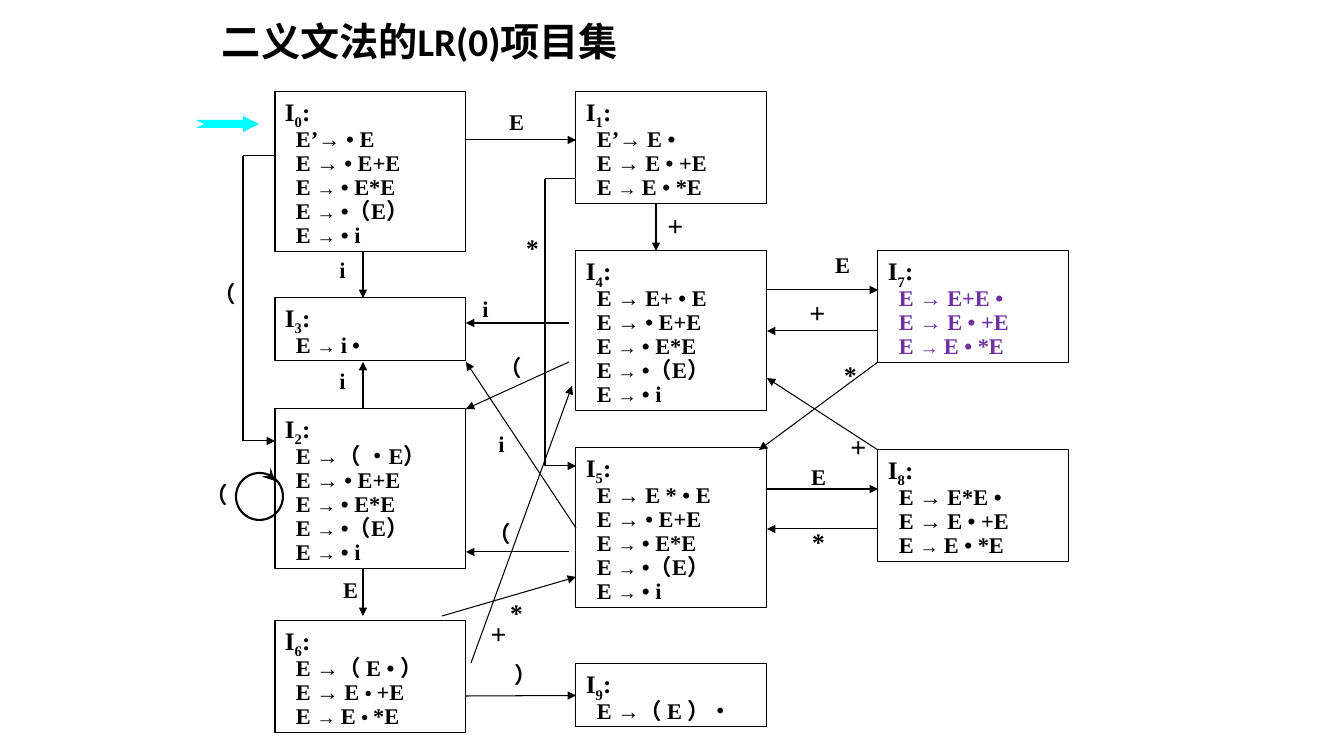
from lxml.etree import SubElement
from pptx import Presentation
from pptx.dml.color import RGBColor
from pptx.enum.shapes import MSO_CONNECTOR as Connector, MSO_SHAPE as Shape
from pptx.enum.text import MSO_ANCHOR as Anchor, PP_ALIGN as Align
from pptx.oxml.ns import qn
from pptx.util import Pt

SCALE = 914400 / 100.8
COLORS = {"ink": "000000", "conflict": "7030A0", "start": "00FFFF"}
SERIF = "Times New Roman"

CLOSURE = ["E → • E+E", "E |→ |• E*E", "E |→ |•（E）", "E |→ |• i"]
REDUCE = ["E → E • +E", "E |→ |E • *E"]
BOX_WIDTH = 191
LEFT, MIDDLE, RIGHT = 275, 576, 878
STATES = [
    ("0", LEFT, 92, 160, ["E’→ • E"] + CLOSURE),
    ("3", LEFT, 298, 63, ["E |→ |i| |•"]),
    ("1", MIDDLE, 92, 112, ["E’→ E •"] + REDUCE),
    ("2", LEFT, 409, 160, ["E →（ •E）"] + CLOSURE),
    ("6", LEFT, 621, 112, ["E →（ E • ）", "E → E |• |+E", "E |→ |E |• |*E"]),
    ("9", MIDDLE, 664, 63, ["E →（ E ）•"]),
    ("4", MIDDLE, 251, 160, ["E → E+ • E"] + CLOSURE),
    ("5", MIDDLE, 448, 160, ["E → E * • E"] + CLOSURE),
    ("7", RIGHT, 251, 112, ["E → E+E •"] + REDUCE),
    ("8", RIGHT, 450, 112, ["E → E*E •"] + REDUCE),
]
ARROWS = [
    (363, 251, 363, 298), (363, 409, 363, 362), (363, 569, 363, 616),
    (466, 140, 576, 140), (656, 204, 656, 251), (569, 323, 466, 323),
    (569, 552, 466, 552), (442, 616, 576, 577), (767, 489, 878, 489),
    (878, 529, 767, 529), (767, 290, 878, 290), (878, 331, 767, 331),
    (569, 362, 466, 409), (878, 362, 759, 450), (878, 450, 767, 378),
    (471, 663, 572, 386),
]
BRACKETS = [(243, LEFT, 156, 441), (545, MIDDLE, 179, 466)]
LABELS = {
    "（": (16, [(204, 275), (196, 476), (490, 349), (479, 515)]),
    "）": (16, [(505, 656)]),
    "E": (16, [(497, 103), (823, 246), (799, 458), (331, 571)]),
    "i": (16, [(323, 251), (323, 362), (482, 425), (466, 290)]),
    "*": (18, [(513, 227), (799, 521), (497, 592), (831, 354)]),
    "+": (20, [(798, 291), (656, 204), (839, 425), (479, 612)]),
}


def px(*lengths):
    """Turn pixel lengths into EMU."""
    return [round(length * SCALE) for length in lengths]


def color(name):
    """Look up a named colour."""
    return RGBColor.from_string(COLORS[name])


def add_run(paragraph, text, size, ink="ink", font=SERIF):
    """Append one bold run and return it."""
    run = paragraph.add_run()
    run.text = text
    run.font.size = Pt(size)
    run.font.name = font
    run.font.bold = True
    run.font.color.rgb = color(ink)
    return run


def add_outline(slide, preset, box, weight):
    """Add an unfilled shape with a black outline."""
    shape = slide.shapes.add_shape(preset, *px(*box))
    shape.shadow.inherit = False
    shape.fill.background()
    shape.line.color.rgb = color("ink")
    shape.line.width = Pt(weight)
    return shape


def add_state(slide, number, left, top, height, items):
    """Add one item set with its heading and productions."""
    shape = add_outline(slide, Shape.RECTANGLE, (left, top, BOX_WIDTH, height), 0.75)
    frame = shape.text_frame
    frame.word_wrap = True
    frame.vertical_anchor = Anchor.TOP
    heading = frame.paragraphs[0]
    add_run(heading, "I", 18)
    subscript = add_run(heading, number, 18)
    subscript._r.get_or_add_rPr().set("baseline", "-25000")
    add_run(heading, ":", 18)
    ink = "conflict" if number == "7" else "ink"
    for item in items:
        paragraph = frame.add_paragraph()
        paragraph._p.get_or_add_pPr().set("marL", str(px(11)[0]))
        for index, part in enumerate(item.split("|")):
            add_run(paragraph, part, 14 if index % 2 else 16, ink)
    for paragraph in frame.paragraphs:
        paragraph.alignment = Align.LEFT
        paragraph.line_spacing = 0.9
    return shape


def add_line(slide, points, head="triangle", weight=0.75):
    """Add a straight connector, with an arrowhead unless head is None."""
    line = slide.shapes.add_connector(Connector.STRAIGHT, *px(*points))
    line.line.color.rgb = color("ink")
    line.line.width = Pt(weight)
    if head:
        SubElement(line.line._get_or_add_ln(), qn("a:tailEnd"), type=head)
    SubElement(line._element.spPr, qn("a:effectLst"))
    return line


def add_bracket(slide, spine, edge, top, bottom):
    """Add a three-part path that leaves one box and enters another."""
    add_line(slide, (spine, top, edge, top), None)
    add_line(slide, (spine, top, spine, bottom), None)
    add_line(slide, (spine, bottom, edge, bottom))


def add_label(slide, text, size, left, top):
    """Add the symbol of a transition."""
    frame = slide.shapes.add_textbox(*px(left, top, 39, size + 21)).text_frame
    frame.word_wrap = True
    paragraph = frame.paragraphs[0]
    paragraph.alignment = Align.CENTER
    add_run(paragraph, text, size)


def add_title(slide):
    """Add the heading of the slide."""
    frame = slide.shapes.add_textbox(*px(212, 21, 627, 49)).text_frame
    frame.word_wrap = True
    paragraph = frame.paragraphs[0]
    paragraph.alignment = Align.JUSTIFY
    paragraph.line_spacing = 0.8
    add_run(paragraph, "二义文法的LR(0)项目集", 28, font="Calibri")


def add_start_arrow(slide):
    """Add the arrow that marks the start state."""
    arrow = slide.shapes.add_shape(Shape.NOTCHED_RIGHT_ARROW, *px(196, 116, 63, 16))
    arrow.shadow.inherit = False
    arrow.adjustments[1] = 1
    arrow.fill.solid()
    arrow.fill.fore_color.rgb = color("start")
    arrow.line.fill.background()


def main():
    """Build the slide and save it."""
    presentation = Presentation()
    presentation.slide_width, presentation.slide_height = px(1344, 756)
    slide = presentation.slides.add_slide(presentation.slide_layouts[6])
    add_outline(slide, Shape.OVAL, (236, 473, 47, 47), 1.5)
    add_title(slide)
    boxes = {state[0]: add_state(slide, *state) for state in STATES}
    for points in ARROWS:
        add_line(slide, points)
    add_line(slide, (466, 696, 576, 696)).end_connect(boxes["9"], 1)
    add_line(slide, (576, 528, 466, 362)).begin_connect(boxes["5"], 1)
    add_line(slide, (267, 473, 275, 481), "stealth", 3)
    for bracket in BRACKETS:
        add_bracket(slide, *bracket)
    add_start_arrow(slide)
    for text, (size, places) in LABELS.items():
        for left, top in places:
            add_label(slide, text, size, left, top)
    presentation.save("out.pptx")


if __name__ == "__main__":
    main()
